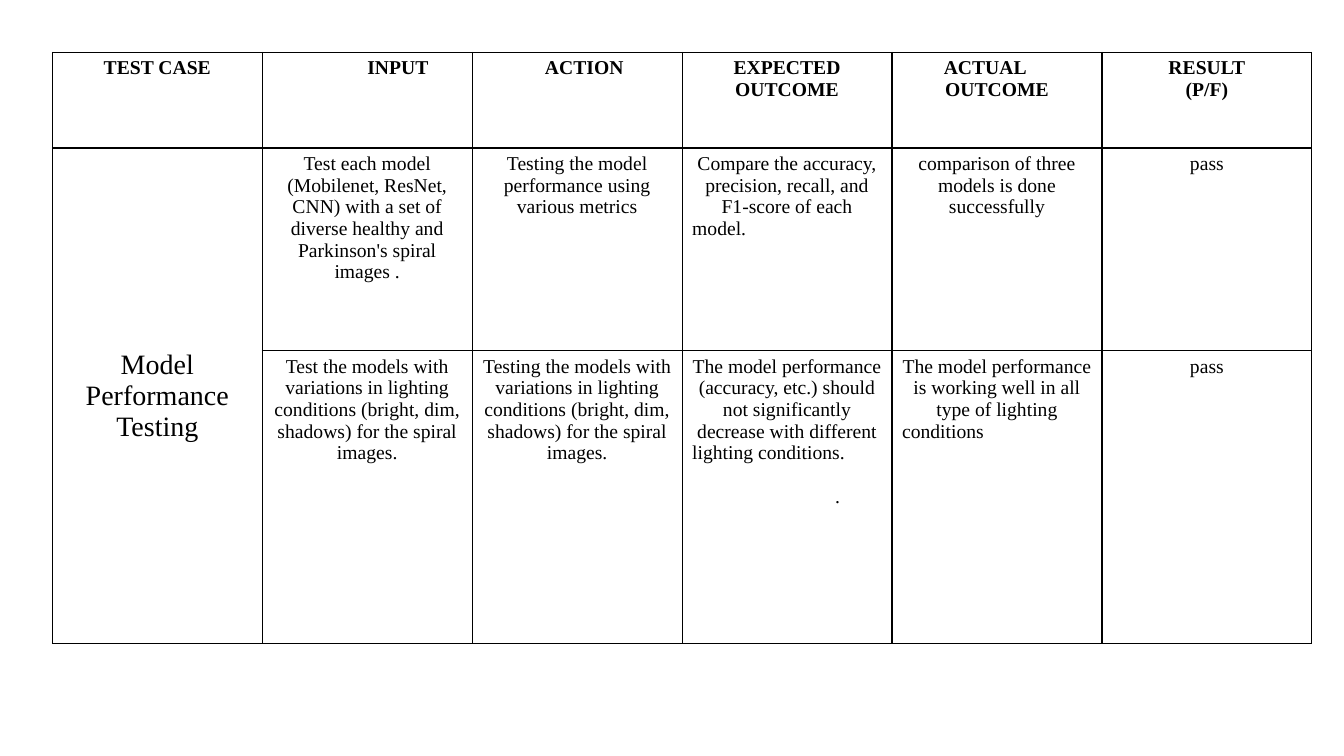
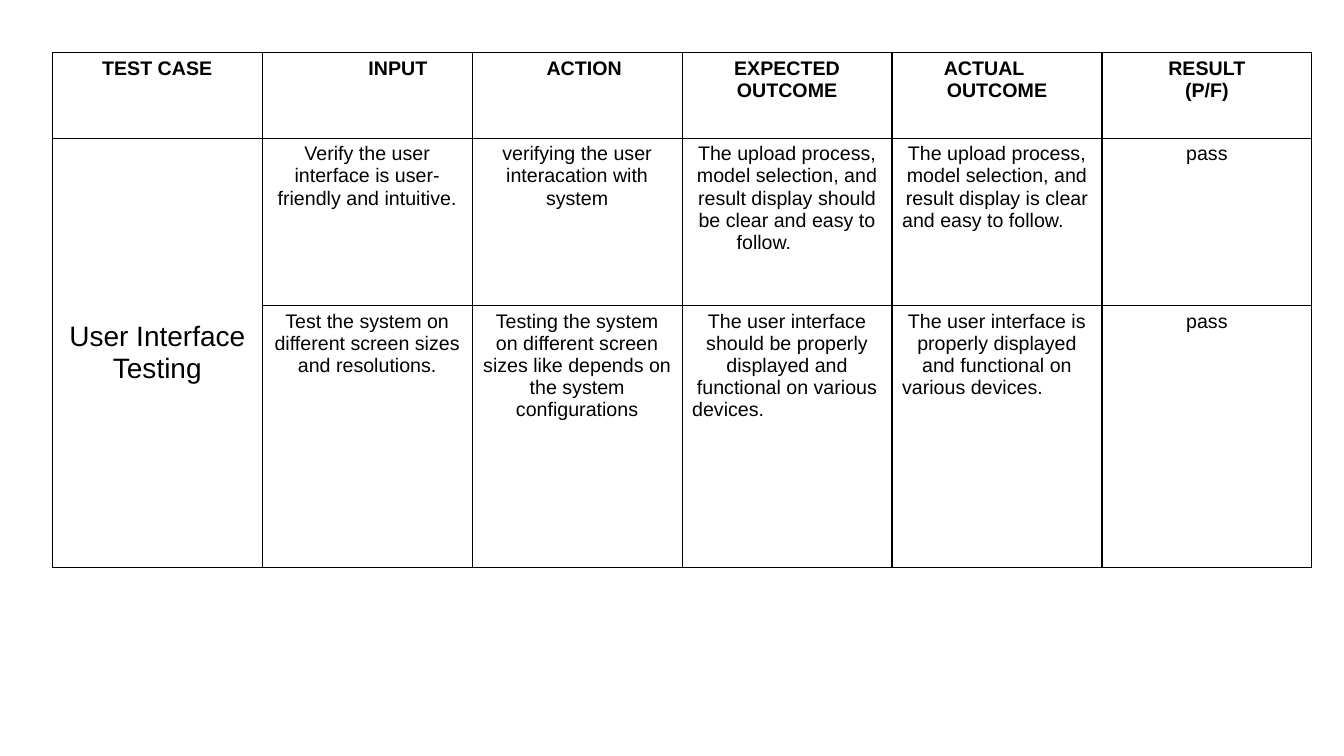
from dataclasses import dataclass

from lxml.etree import SubElement
from pptx import Presentation
from pptx.dml.color import RGBColor
from pptx.enum.text import MSO_ANCHOR, PP_ALIGN
from pptx.oxml.ns import qn
from pptx.util import Cm, Pt

BLACK = RGBColor(0x00, 0x00, 0x00)
WHITE = RGBColor(0xFF, 0xFF, 0xFF)
BORDER_WIDTH = Pt(1)
BODY_SIZE = 14
CASE_SIZE = 20
TABLE_LEFT, TABLE_TOP, COLUMN_WIDTH = Cm(1.32), Cm(1.32), Cm(5.29)


@dataclass
class Line:
    """A left-aligned paragraph with its indent in cm and space before in points."""

    text: str
    indent: float = 0
    before: float = 0


HEADERS = [
    ["TEST CASE"],
    ["INPUT"],
    ["ACTION"],
    ["EXPECTED OUTCOME"],
    [Line("ACTUAL", indent=1.05), "OUTCOME"],
    ["RESULT", "(P/F)"],
]
HEADER_MARGINS = {1: Cm(1.8), 2: Cm(0.61)}

MODEL_ROWS = [
    [
        ["Test each model (Mobilenet, ResNet, CNN) with a set of diverse healthy and "
         "Parkinson's spiral images ."],
        ["Testing the model performance using various metrics"],
        ["Compare the accuracy, precision, recall, and F1-score of each", Line("model.")],
        ["comparison of three models is done successfully"],
        ["pass"],
    ],
    [
        ["Test the models with variations in lighting conditions (bright, dim, shadows) "
         "for the spiral images."],
        ["Testing the models with variations in lighting conditions (bright, dim, shadows) "
         "for the spiral images."],
        ["The model performance (accuracy, etc.) should not significantly decrease with different",
         Line("lighting conditions."), Line(".", indent=3.6, before=15.6)],
        ["The model performance is working well in all type of lighting", Line("conditions")],
        ["pass"],
    ],
]

INTERFACE_ROWS = [
    [
        ["Verify the user interface is user-friendly and intuitive."],
        ["verifying the user interacation with system"],
        ["The upload process, model selection, and result display should be clear and easy to",
         Line("follow.", indent=1.12)],
        ["The upload process, model selection, and result display is clear",
         Line("and easy to follow.")],
        ["pass"],
    ],
    [
        ["Test the system on different screen sizes and resolutions."],
        ["Testing the system on different screen sizes like depends on the system configurations"],
        ["The user interface should be properly displayed and functional on various",
         Line("devices.")],
        ["The user interface is properly displayed and functional on", Line("various devices.")],
        ["pass"],
    ],
]


def add_borders(cell):
    """Draw a solid black line on all four sides of a cell."""
    properties = cell._tc.get_or_add_tcPr()
    for side in ("lnL", "lnR", "lnT", "lnB"):
        line = SubElement(properties, qn(f"a:{side}"), w=str(BORDER_WIDTH))
        fill = SubElement(line, qn("a:solidFill"))
        SubElement(fill, qn("a:srgbClr"), val=str(BLACK))


def write_para(para, text, *, font, size=BODY_SIZE, bold=False,
               align=PP_ALIGN.CENTER, indent=0, before=0):
    """Write one formatted run into a paragraph."""
    para.alignment = align
    para.space_before = Pt(before)
    if indent:
        para._p.get_or_add_pPr().set("marL", str(Cm(indent)))
    span = para.add_run()
    span.text = text
    span.font.name = font
    span.font.size = Pt(size)
    span.font.bold = bold
    span.font.color.rgb = BLACK


def fill_cell(cell, lines, **style):
    """Write the lines of a cell, centred unless they are Line objects."""
    frame = cell.text_frame
    for number, line in enumerate(lines):
        para = frame.add_paragraph() if number else frame.paragraphs[0]
        if isinstance(line, Line):
            write_para(para, line.text, align=PP_ALIGN.LEFT,
                       indent=line.indent, before=line.before, **style)
        else:
            write_para(para, line, **style)


def add_plain_table(page, left, top, column_count, row_heights):
    """Add a white table with black borders and return it."""
    table = page.shapes.add_table(
        len(row_heights), column_count, left, top,
        COLUMN_WIDTH * column_count, sum(row_heights)).table
    table.first_row = table.horz_banding = False
    for column in table.columns:
        column.width = COLUMN_WIDTH
    for row, height in zip(table.rows, row_heights):
        row.height = height
    for cell in table.iter_cells():
        add_borders(cell)
        cell.fill.solid()
        cell.fill.fore_color.rgb = WHITE
    return table


def add_test_page(deck, case, rows, row_heights, font):
    """Add a slide with the test table of one test case."""
    page = deck.slides.add_slide(deck.slide_layouts[6])
    table = add_plain_table(page, TABLE_LEFT, TABLE_TOP, len(HEADERS), row_heights)
    for column, lines in enumerate(HEADERS):
        fill_cell(table.cell(0, column), lines, font=font, bold=True)
    for column, margin in HEADER_MARGINS.items():
        table.cell(0, column).margin_left = margin
    case_cell = table.cell(1, 0)
    case_cell.merge(table.cell(len(rows), 0))
    case_cell.vertical_anchor = MSO_ANCHOR.MIDDLE
    fill_cell(case_cell, [case], font=font, size=CASE_SIZE)
    for row, cells in enumerate(rows, start=1):
        for column, lines in enumerate(cells, start=1):
            fill_cell(table.cell(row, column), lines, font=font)


def main():
    """Build the deck and save it."""
    deck = Presentation()
    deck.slide_width, deck.slide_height = Cm(33.87), Cm(19.05)
    add_test_page(deck, "Model Performance Testing", MODEL_ROWS,
                  [Cm(2.41), Cm(5.11), Cm(7.37)], "Times New Roman")
    add_test_page(deck, "User Interface Testing", INTERFACE_ROWS,
                  [Cm(2.16), Cm(4.22), Cm(6.6)], "Arial")
    deck.save("out.pptx")


if __name__ == "__main__":
    main()
